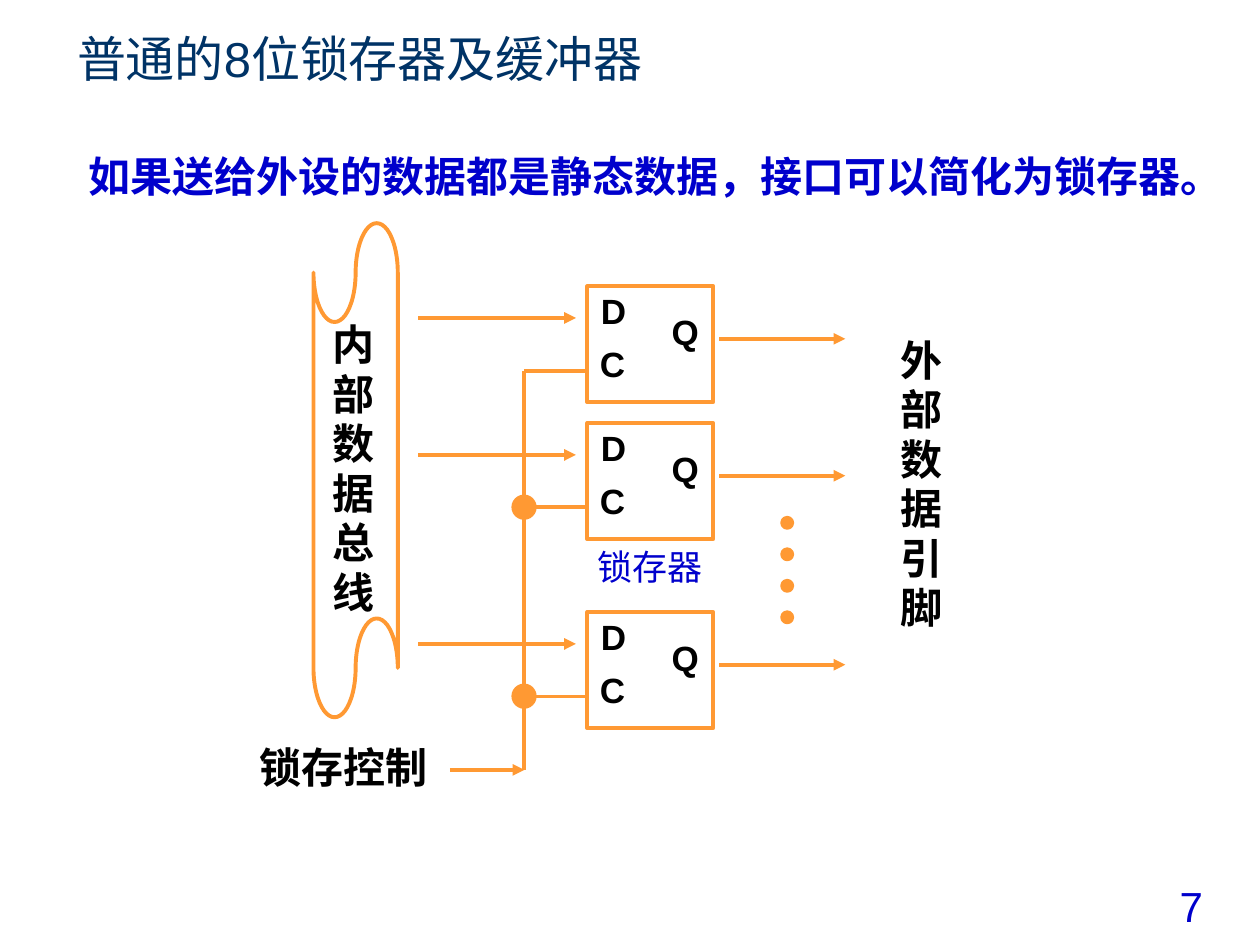
from lxml import etree
from pptx import Presentation
from pptx.dml.color import RGBColor
from pptx.enum.shapes import MSO_CONNECTOR, MSO_SHAPE
from pptx.enum.text import MSO_ANCHOR, PP_ALIGN
from pptx.oxml.ns import qn
from pptx.util import Cm, Pt

STRAIGHT = MSO_CONNECTOR.STRAIGHT
RECT, OVAL, TAPE = MSO_SHAPE.RECTANGLE, MSO_SHAPE.OVAL, MSO_SHAPE.FLOWCHART_PUNCHED_TAPE
MIDDLE, BOTTOM = MSO_ANCHOR.MIDDLE, MSO_ANCHOR.BOTTOM
LEFT, CENTER = PP_ALIGN.LEFT, PP_ALIGN.CENTER
color = RGBColor.from_string
ORANGE, BLUE, NAVY, BLACK = "FF9933", "0000CC", "003366", "000000"

deck = Presentation()
deck.slide_width, deck.slide_height = Cm(25.4), Cm(19.05)
slide = deck.slides.add_slide(deck.slide_layouts[5])
shapes = slide.shapes

title = shapes.title
title.left, title.top, title.width, title.height = Cm(1.3), Cm(0.33), Cm(22), Cm(1.57)
frame = title.text_frame
frame.text = "普通的8位锁存器及缓冲器"
frame.vertical_anchor = BOTTOM
para = frame.paragraphs[0]
para.alignment, para.line_spacing = LEFT, 0.9
para.font.size, para.font.name = Pt(28), "Arial"
para.font.color.rgb = color(NAVY)

# Tape and latch boxes, then the dots
latches = [5.77, 8.53, 12.34]
outlines = [(TAPE, 6.32, 4.5, 1.7, 9.96)]
outlines += [(RECT, 11.84, top, 2.54, 2.34) for top in latches]
dots = [(OVAL, 15.77, 10.44 + 0.635 * i, 0.2, 0.2) for i in range(4)]
dots += [(OVAL, 10.35, top + 1.48, 0.43, 0.43) for top in latches[1:]]
for kind, x, y, w, h in outlines + dots:
    shape = shapes.add_shape(kind, Cm(x), Cm(y), Cm(w), Cm(h))
    shape.shadow.inherit = False
    shape.line.color.rgb, shape.line.width = color(ORANGE), Pt(2.25)
    if kind == OVAL:
        shape.fill.solid()
        shape.fill.fore_color.rgb = color(ORANGE)
    else:
        shape.fill.background()

# Wires: x1, y1, x2, y2, arrowhead
wires = [(9.07, 15.52, 10.57, 15.52, True), (10.57, 7.47, 10.57, 15.52, False)]
for top in latches:
    wires += [
        (8.43, top + 0.64, 11.61, top + 0.64, True),
        (10.57, top + 1.7, 11.84, top + 1.7, False),
        (14.5, top + 1.06, 17.04, top + 1.06, True),
    ]
for x1, y1, x2, y2, arrow in wires:
    wire = shapes.add_connector(STRAIGHT, Cm(x1), Cm(y1), Cm(x2), Cm(y2))
    wire.line.color.rgb, wire.line.width = color(ORANGE), Pt(2.25)
    props = wire.line._get_or_add_ln()
    if arrow:
        etree.SubElement(props, qn("a:tailEnd"), type="triangle")
    etree.SubElement(props.getparent(), qn("a:effectLst"))


def label(text, x, y, w, h, size, ink=BLACK, bold=True, font="Arial", align=CENTER):
    box = shapes.add_textbox(Cm(x), Cm(y), Cm(w), Cm(h))
    frame = box.text_frame
    frame.text = text
    frame.vertical_anchor = MIDDLE
    for para in frame.paragraphs:
        para.alignment, para.line_spacing = align, 0.9
        para.space_after = Pt(size / 10)
        para.font.size, para.font.name, para.font.bold = Pt(size), font, bold
        para.font.color.rgb = color(ink)
    return frame


label("\n".join("内部数据总线"), 6.45, 6.32, 1.35, 6.35, 24)
label("\n".join("外部数据引脚"), 17.91, 6.63, 1.35, 6.35, 24)
label("锁存控制", 4.98, 14.88, 3.89, 1.27, 24)
label("锁存器", 11.79, 10.97, 2.64, 1.02, 20, BLUE, False, "Times New Roman", LEFT)
label("7", 22.91, 17.73, 2.21, 1.17, 24, BLUE, False)
for top in latches:
    label("D", 11.86, top, 1.02, 1.09, 20)
    label("C", 11.84, top + 1.06, 1.02, 1.09, 20)
    label("Q", 13.28, top + 0.42, 1.07, 1.09, 20)

claim = label("如果送给外设的数据都是静态数据，接口可以简化为锁存器。",
              1.3, 2.72, 23.04, 1.78, 24, BLUE, align=LEFT)
claim.word_wrap = True
claim.margin_left = Cm(0.48)

deck.save("out.pptx")
